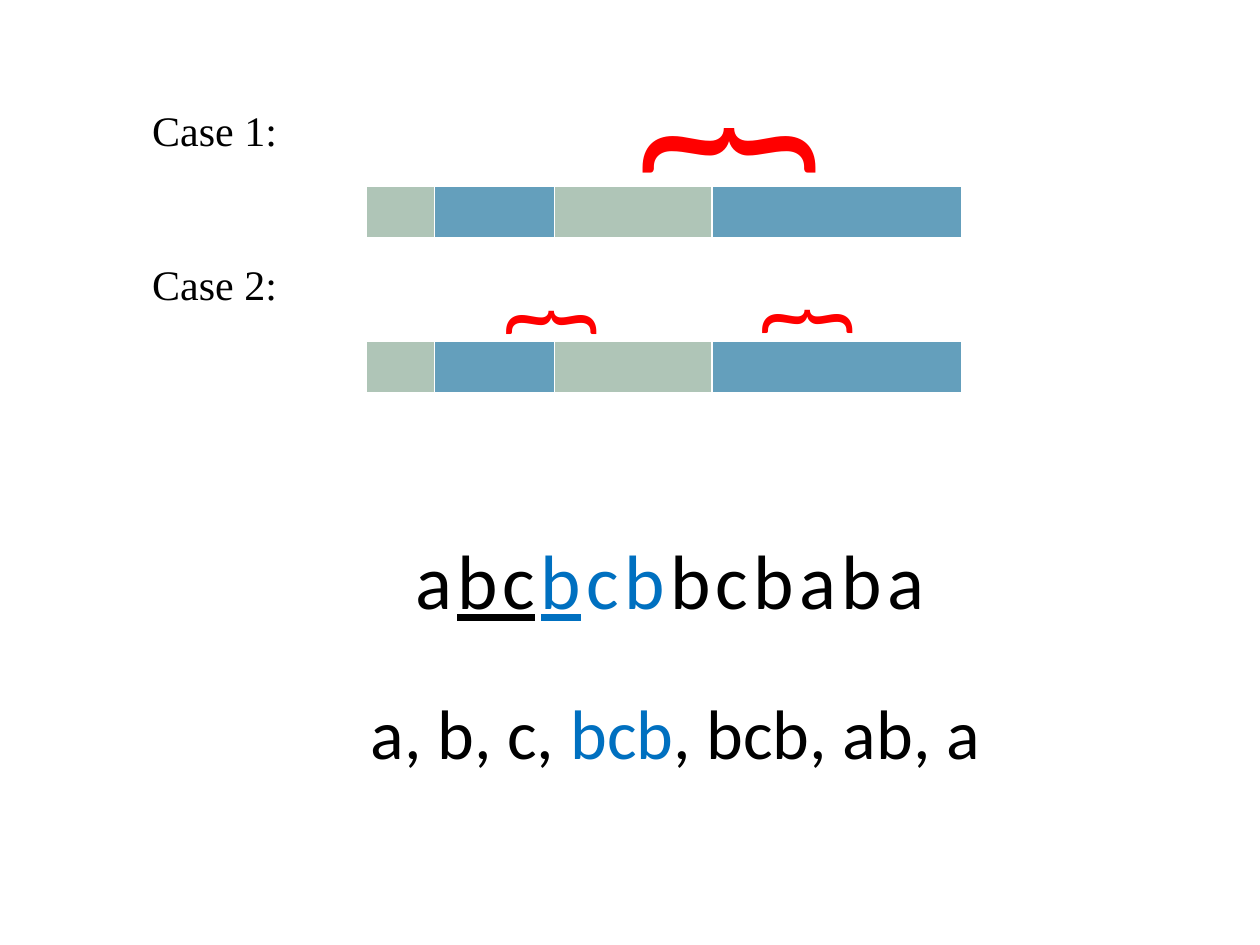
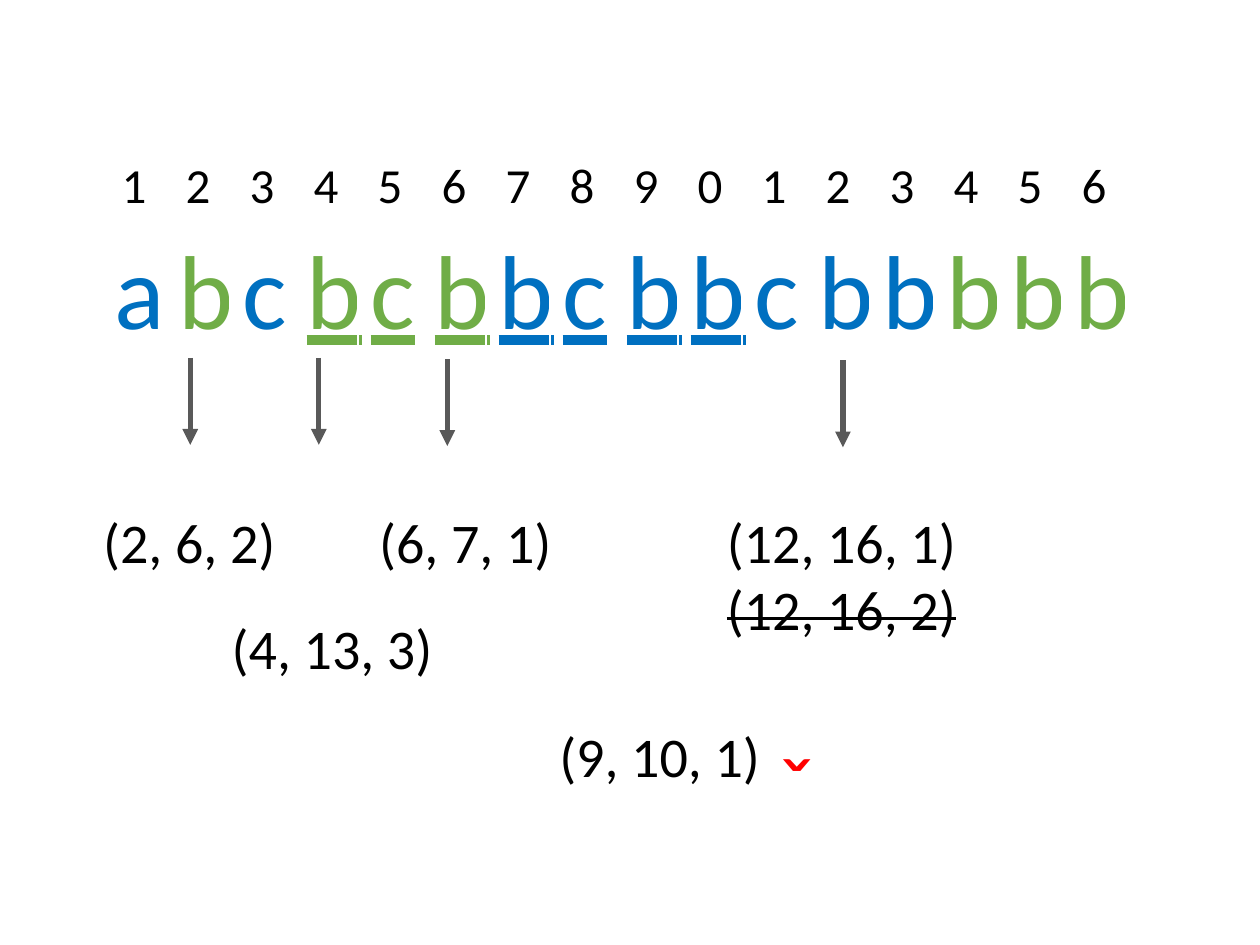
from lxml import etree
from pptx import Presentation
from pptx.dml.color import RGBColor
from pptx.enum.shapes import MSO_CONNECTOR
from pptx.enum.text import MSO_ANCHOR, MSO_AUTO_SIZE, PP_ALIGN
from pptx.oxml.ns import qn
from pptx.util import Inches, Pt

STRAIGHT = MSO_CONNECTOR.STRAIGHT
BOTTOM = MSO_ANCHOR.BOTTOM
GROW = MSO_AUTO_SIZE.SHAPE_TO_FIT_TEXT
LEFT, CENTER = PP_ALIGN.LEFT, PP_ALIGN.CENTER

BLACK = RGBColor(0x00, 0x00, 0x00)
RED = RGBColor(0xFF, 0x00, 0x00)
BLUE = RGBColor(0x00, 0x70, 0xC0)
GREEN = RGBColor(0x70, 0xAD, 0x47)
GRAY = RGBColor(0x59, 0x59, 0x59)
SAGE = RGBColor(0xAF, 0xC5, 0xB7)
STEEL = RGBColor(0x64, 0x9F, 0xBC)

BODY_FONT = "Calibri"
CASE_FONT = "Times New Roman"

CASES = ["Case 1:", "Case 2:"]
BAR_LEFT, BAR_HEIGHT = 2.91, 0.41
BAR_TOPS = [1.48, 2.71]
BAR_PARTS = [(0.54, SAGE), (0.95, STEEL), (1.25, SAGE), (1.98, STEEL)]
BRACES = [
    (5.28, 0.19, 0.71, 2.04, 115),
    (6.09, 2.01, 0.47, 1.11, 60),
    (4.06, 2.02, 0.47, 1.11, 60),
]
WORD = [("a", BLACK, False), ("bc", BLACK, True), ("b", BLUE, True),
        ("cb", BLUE, False), ("bcbaba", BLACK, False)]
FACTORS = [("a, b, c, ", BLACK), ("bcb", BLUE), (", bcb, ab, a", BLACK)]

POSITIONS = "1234567890123456"
LETTERS = "abcbcbbcbbcbbbbb"
GREEN_POSITIONS = {2, 4, 5, 6, 14, 15, 16}
UNDERLINED_POSITIONS = range(4, 11)
GRID_LEFT, GRID_TOP, GRID_WIDTH, ROW_HEIGHT = 0.81, 0.65, 8.13, 1.12
TRIPLES = [
    (0.72, 3.98, 1.58, ["(2, 6, 2)"]),
    (1.74, 4.82, 1.81, ["(4, 13, 3)"]),
    (5.67, 3.98, 2.04, ["(12, 16, 1)", "(12, 16, 2)"]),
    (2.91, 3.98, 1.58, ["(6, 7, 1)"]),
    (4.34, 5.68, 1.81, ["(9, 10, 1)"]),
]
STRUCK_TRIPLE = "(12, 16, 2)"
ARROW_LENGTH = 0.69
ARROWS = [(1.51, 2.84), (2.53, 2.84), (3.55, 2.85), (6.69, 2.86)]


def style(span, size, color=BLACK, font=BODY_FONT, underline=False):
    span.font.size = Pt(size)
    span.font.name = font
    span.font.color.rgb = color
    span.font.bold = False
    if underline:
        span.font.underline = True


def add_box(slide, left, top, width, height, lines, size, align=LEFT, font=BODY_FONT):
    box = slide.shapes.add_textbox(Inches(left), Inches(top), Inches(width), Inches(height))
    frame = box.text_frame
    frame.text = "\n".join("".join(part[0] for part in line) for line in lines)
    frame.word_wrap = False
    frame.auto_size = GROW
    for para, line in zip(frame.paragraphs, lines):
        para.text = ""
        para.alignment = align
        for text, color, *underline in line:
            span = para.add_run()
            span.text = text
            style(span, size, color, font, any(underline))
    return box


def add_grid(slide, left, top, widths, row_height, rows):
    frame = slide.shapes.add_table(rows, len(widths), Inches(left), Inches(top),
                                   Inches(sum(widths)), Inches(row_height * rows))
    table = frame.table
    for column, width in zip(table.columns, widths):
        column.width = Inches(width)
    return table


def add_arrow(slide, x, top):
    arrow = slide.shapes.add_connector(STRAIGHT, Inches(x), Inches(top),
                                       Inches(x), Inches(top + ARROW_LENGTH))
    arrow.line.color.rgb = GRAY
    arrow.line.width = Pt(3)
    properties = arrow._element.spPr
    etree.SubElement(properties.find(qn("a:ln")), qn("a:tailEnd"), type="triangle")
    etree.SubElement(properties, qn("a:effectLst"))


def build_cases(slide):
    case_box = add_box(slide, 1.11, 0.78, 1.29, 1.65,
                       [[(case, BLACK)] for case in CASES], 24, font=CASE_FONT)
    case_box.text_frame.paragraphs[1].space_before = Pt(59)

    for top in BAR_TOPS:
        bar = add_grid(slide, BAR_LEFT, top, [width for width, _ in BAR_PARTS], BAR_HEIGHT, 1)
        for cell, (_, color) in zip(bar.rows[0].cells, BAR_PARTS):
            cell.fill.solid()
            cell.fill.fore_color.rgb = color

    for left, top, width, height, size in BRACES:
        brace = add_box(slide, left, top, width, height, [[("}", RED)]], size, CENTER)
        brace.rotation = 270

    word_box = add_box(slide, 3.17, 4.18, 4.29, 0.84, [WORD], 44, CENTER)
    for span in word_box.text_frame.paragraphs[0].runs:
        span._r.get_or_add_rPr().set("spc", "300")
    add_box(slide, 2.84, 5.42, 5.04, 0.77, [FACTORS], 40, CENTER)


def build_positions(slide):
    count = len(LETTERS)
    grid = add_grid(slide, GRID_LEFT, GRID_TOP, [GRID_WIDTH / count] * count, ROW_HEIGHT, 2)
    for row, (texts, size) in enumerate([(POSITIONS, 28), (LETTERS, 60)]):
        for position, text in enumerate(texts, 1):
            cell = grid.cell(row, position - 1)
            cell.fill.background()
            cell.text_frame.text = text
            para = cell.text_frame.paragraphs[0]
            para.alignment = CENTER
            if row == 0:
                cell.vertical_anchor = BOTTOM
                style(para.runs[0], size)
            else:
                color = GREEN if position in GREEN_POSITIONS else BLUE
                style(para.runs[0], size, color, underline=position in UNDERLINED_POSITIONS)

    for left, top, width, triples in TRIPLES:
        box = add_box(slide, left, top, width, 0.1 + 0.54 * len(triples),
                      [[(triple, BLACK)] for triple in triples], 32)
        for para in box.text_frame.paragraphs:
            if para.text == STRUCK_TRIPLE:
                para.runs[0]._r.get_or_add_rPr().set("strike", "sngStrike")

    for x, top in ARROWS:
        add_arrow(slide, x, top)
    add_box(slide, 6.08, 5.74, 0.5, 1.01, [[("ˇ", RED)]], 54, CENTER)


def main():
    deck = Presentation()
    deck.slide_width, deck.slide_height = Inches(10), Inches(7.5)
    blank = deck.slide_layouts.get_by_name("Blank")
    for build in (build_cases, build_positions):
        build(deck.slides.add_slide(blank))
    deck.save("out.pptx")


if __name__ == "__main__":
    main()
